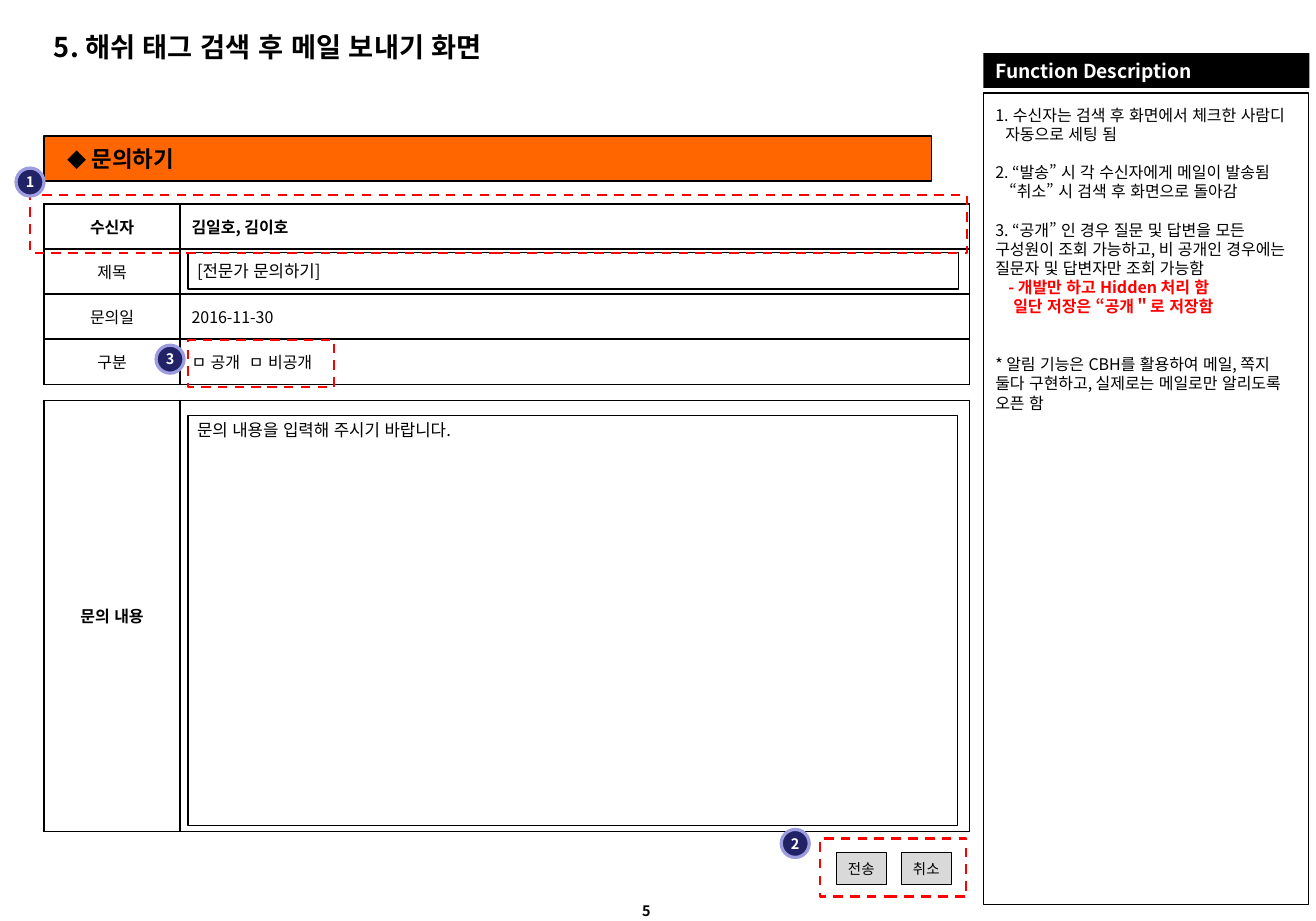
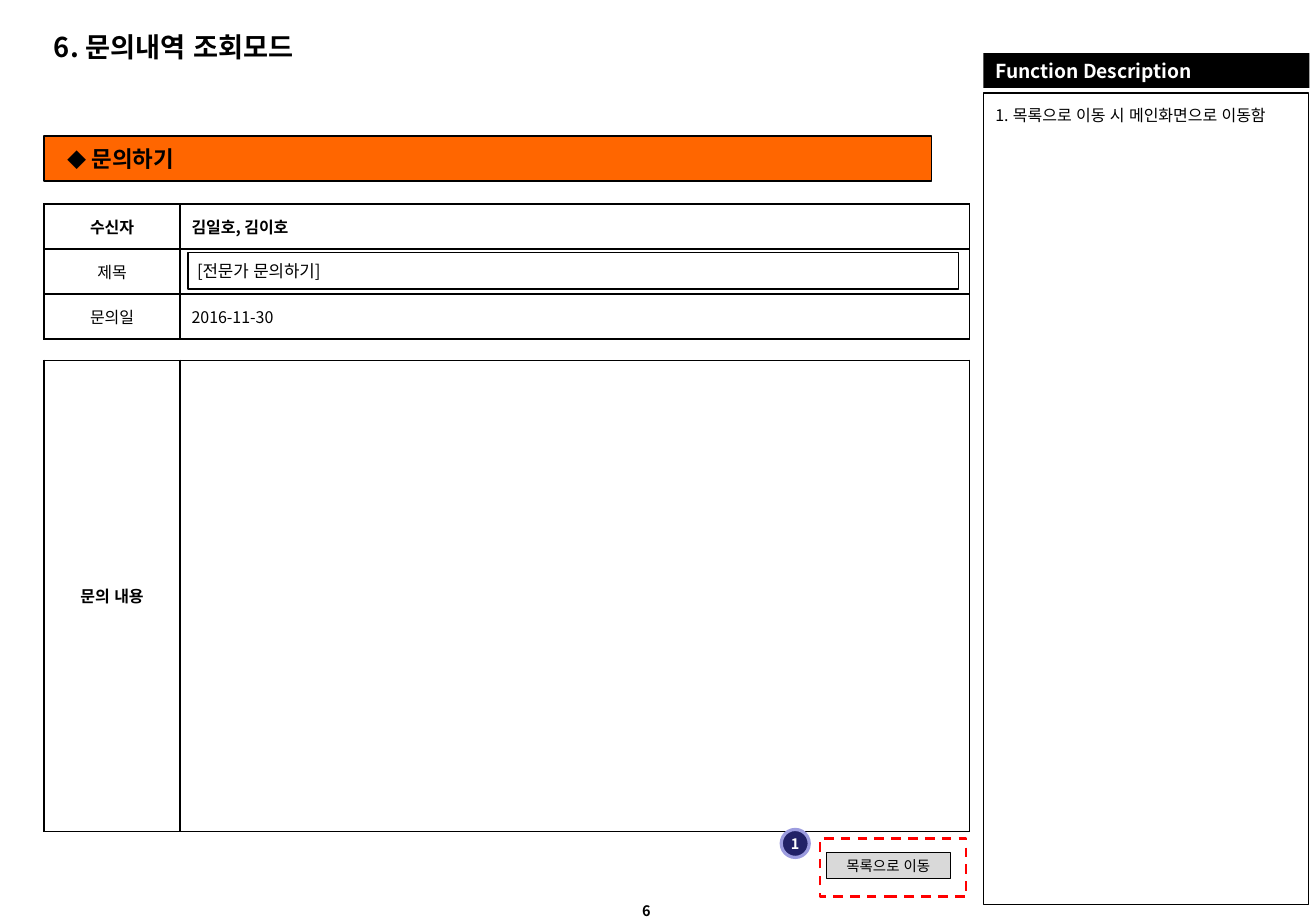
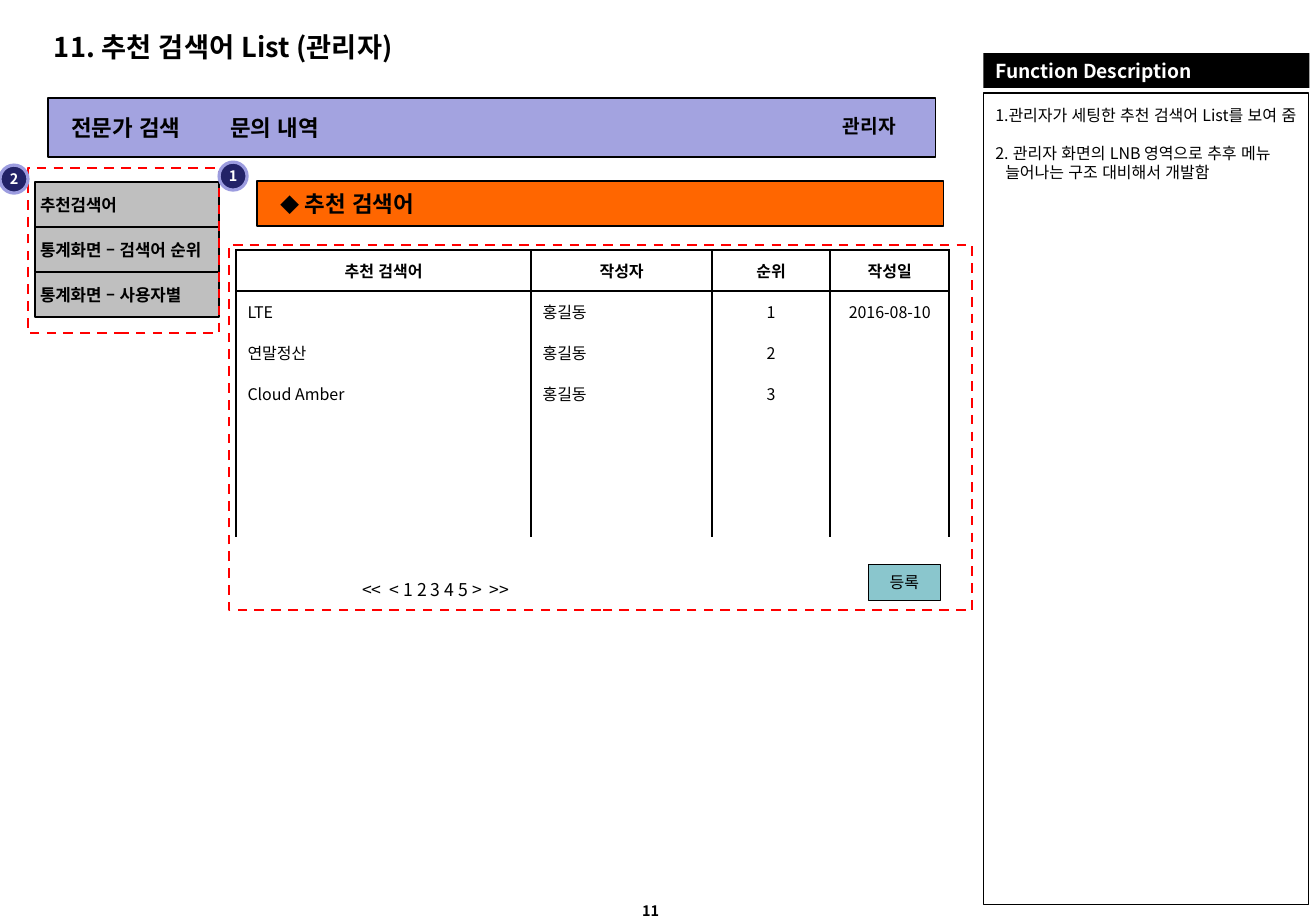
from dataclasses import dataclass, replace

from lxml.etree import SubElement
from pptx import Presentation
from pptx.dml.color import RGBColor
from pptx.enum.dml import MSO_LINE
from pptx.enum.lang import MSO_LANGUAGE_ID as Language
from pptx.enum.shapes import MSO_SHAPE as Shape
from pptx.enum.text import MSO_ANCHOR as Anchor, MSO_AUTO_SIZE as AutoSize, PP_ALIGN as Align
from pptx.oxml.ns import qn
from pptx.slide import Slide
from pptx.text.text import TextFrame, _Paragraph as Paragraph
from pptx.util import Emu, Inches, Pt

EMU_PER_PIXEL = 7937.5
FONT = "Noto Sans CJK KR"
BLACK, WHITE, RED = "000000", "FFFFFF", "FF0000"
ORANGE, LILAC, TEAL = "FF6600", "A3A3E0", "8AC6CD"
NAVY, PERIWINKLE = "222267", "9C9CDF"
LIGHT_GREY, MID_GREY = "D9D9D9", "BFBFBF"
ROW = 45
FORM_LEFT, FORM_COLUMNS = 44, [136, 789]


@dataclass(frozen=True)
class Box:
    left: int
    top: int
    width: int
    height: int

    def emu(self) -> tuple[Emu, ...]:
        return tuple(px(n) for n in (self.left, self.top, self.width, self.height))


@dataclass(frozen=True)
class Style:
    fill: str | None = None
    line: str | None = None
    weight: float = 0.75
    dashed: bool = False
    preset: Shape = Shape.RECTANGLE
    size: float = 10
    bold: bool = False
    color: str = BLACK
    align: Align = Align.LEFT
    anchor: Anchor = Anchor.MIDDLE
    inset: int = 12
    top_inset: int = 0
    wrap: bool = False


@dataclass(frozen=True)
class Note:
    text: str
    number: int = 0
    before: int = 0
    indent: int = 0
    color: str = BLACK
    bold: bool = False


@dataclass(frozen=True)
class Cell:
    text: str = ""
    bold: bool = False
    align: Align = Align.LEFT
    sides: str = "LRTB"


TITLE = Style(size=17, bold=True, inset=10)
PAGE_NUMBER = Style(size=9, bold=True)
PANEL = Style(line=BLACK)
PANEL_HEADER = Style(fill=BLACK, size=12, bold=True, color=WHITE)
PANEL_TEXT = Style(anchor=Anchor.TOP, wrap=True)
BANNER = Style(fill=ORANGE, line=BLACK, inset=23)
NAVIGATION = Style(fill=LILAC, line=BLACK, size=14, bold=True, inset=23)
FIELD = Style(fill=WHITE, line=BLACK, size=10.5, inset=9)
TEXT_AREA = replace(FIELD, anchor=Anchor.TOP, top_inset=5)
BUTTON = Style(fill=LIGHT_GREY, line=BLACK, size=9, align=Align.CENTER, inset=5)
REGISTER = replace(BUTTON, fill=TEAL, size=10)
MENU = Style(fill=MID_GREY, line=BLACK, size=10.5, bold=True, inset=5)
PAGER = Style(size=11)
ROLE = Style(size=12, bold=True, align=Align.CENTER)
FRAME = Style(line=RED, weight=1.5, dashed=True)
BADGE = Style(fill=NAVY, line=PERIWINKLE, weight=2, preset=Shape.OVAL, size=9,
              bold=True, color=WHITE, align=Align.CENTER, inset=0)


def px(n: float) -> Emu:
    return Emu(round(n * EMU_PER_PIXEL))


def rgb(value: str) -> RGBColor:
    return RGBColor.from_string(value)


def write(p: Paragraph, text: str, size: float, bold: bool = False, color: str = BLACK) -> None:
    r = p.add_run()
    r.text = text
    formats = {"name": FONT, "size": Pt(size), "bold": bold, "language_id": Language.KOREAN}
    for name, value in formats.items():
        setattr(r.font, name, value)
    r.font.color.rgb = rgb(color)
    SubElement(r.font._element, qn("a:ea"), typeface=FONT)


def set_frame(tf: TextFrame, style: Style) -> Paragraph:
    formats = {
        "word_wrap": style.wrap,
        "auto_size": AutoSize.NONE,
        "vertical_anchor": style.anchor,
        "margin_left": px(style.inset),
        "margin_right": px(style.inset),
        "margin_top": px(style.top_inset),
        "margin_bottom": 0,
    }
    for name, value in formats.items():
        setattr(tf, name, value)
    p = tf.paragraphs[0]
    p.alignment = style.align
    return p


def place(s: Slide, box: Box, style: Style, text: str = "") -> TextFrame:
    if style.fill or style.line:
        sp = s.shapes.add_shape(style.preset, *box.emu())
        sp.shadow.inherit = False
        if style.fill:
            sp.fill.solid()
            sp.fill.fore_color.rgb = rgb(style.fill)
        else:
            sp.fill.background()
        if style.line:
            sp.line.color.rgb = rgb(style.line)
            sp.line.width = Pt(style.weight)
        else:
            sp.line.fill.background()
        if style.dashed:
            sp.line.dash_style = MSO_LINE.DASH
    else:
        sp = s.shapes.add_textbox(*box.emu())
    p = set_frame(sp.text_frame, style)
    if text:
        write(p, text, style.size, style.bold, style.color)
    return sp.text_frame


def add_banner(s: Slide, box: Box, text: str) -> None:
    p = place(s, box, BANNER).paragraphs[0]
    write(p, "◆ ", 12)
    write(p, text, 14, True)


def add_badge(s: Slide, left: int, top: int, number: int) -> None:
    place(s, Box(left, top, 28, 28), BADGE, str(number))


def add_navigation(s: Slide, box: Box, entries: list[str], tab: int) -> None:
    tf = place(s, box, NAVIGATION, "\t".join(entries))
    tabs = SubElement(tf.paragraphs[0]._p.get_or_add_pPr(), qn("a:tabLst"))
    SubElement(tabs, qn("a:tab"), pos=str(px(tab)), algn="l")


def add_notes(s: Slide, notes: list[Note]) -> None:
    tf = place(s, Box(983, 105, 325, 350), PANEL_TEXT)
    for i, note in enumerate(notes):
        p = tf.add_paragraph() if i else tf.paragraphs[0]
        p.line_spacing = Pt(12)
        p.space_before = Pt(note.before)
        pPr = p._p.get_or_add_pPr()
        pPr.set("marL", str(px(10 if note.number else note.indent)))
        if note.number:
            pPr.set("indent", str(px(-10)))
            SubElement(pPr, qn("a:buFont"), typeface=FONT)
            SubElement(pPr, qn("a:buAutoNum"), type="arabicPeriod", startAt=str(note.number))
        write(p, note.text, 10, note.bold, note.color)


def add_grid(s: Slide, left: int, top: int, columns: list[int], row: int,
             rows: list[list[Cell]]) -> None:
    box = Box(left, top, sum(columns), row * len(rows))
    table = s.shapes.add_table(len(rows), len(columns), *box.emu()).table
    for name in ("first_row", "horz_banding"):
        setattr(table, name, False)
    for column, width in zip(table.columns, columns):
        column.width = px(width)
    for i, cells in enumerate(rows):
        table.rows[i].height = px(row)
        for j, content in enumerate(cells):
            cell = table.cell(i, j)
            tcPr = cell._tc.get_or_add_tcPr()
            for side in "LRTB":
                ln = SubElement(tcPr, qn(f"a:ln{side}"), w=str(Pt(1)))
                if side in content.sides:
                    fill = SubElement(ln, qn("a:solidFill"))
                    SubElement(fill, qn("a:srgbClr"), val=BLACK)
                else:
                    SubElement(ln, qn("a:noFill"))
            cell.fill.background()
            formats = {"vertical_anchor": Anchor.MIDDLE, "margin_top": 0, "margin_bottom": 0}
            for name, value in formats.items():
                setattr(cell, name, value)
            p = cell.text_frame.paragraphs[0]
            p.alignment = content.align
            if content.text:
                write(p, content.text, 10, content.bold)


def add_form(s: Slide, fields: list[tuple[str, str]], content_top: int) -> None:
    add_banner(s, Box(FORM_LEFT, 136, 887, 45), "문의하기")
    rows = [[Cell(label, i == 0, Align.CENTER), Cell(value, i == 0)]
            for i, (label, value) in enumerate(fields)]
    add_grid(s, FORM_LEFT, 204, FORM_COLUMNS, ROW, rows)
    place(s, Box(188, 252, 770, 37), FIELD, "[전문가 문의하기]")
    add_grid(s, FORM_LEFT, content_top, FORM_COLUMNS, 831 - content_top,
             [[Cell("문의 내용", True, Align.CENTER), Cell()]])


def add_page(title: str, number: int, notes: list[Note]) -> Slide:
    s = prs.slides.add_slide(prs.slide_layouts[5])
    sp = s.shapes.title
    for name, value in zip(("left", "top", "width", "height"), Box(44, 24, 1178, 45).emu()):
        setattr(sp, name, value)
    write(set_frame(sp.text_frame, TITLE), f"{number}. {title}", TITLE.size, TITLE.bold)
    place(s, Box(630, 896, 97, 29), PAGE_NUMBER, str(number))
    place(s, Box(983, 93, 325, 811), PANEL)
    place(s, Box(983, 53, 326, 35), PANEL_HEADER, "Function Description")
    add_notes(s, notes)
    return s


prs = Presentation()
prs.slide_width, prs.slide_height = Inches(11.42), Inches(7.99)

FIELDS = [("수신자", "김일호, 김이호"), ("제목", ""), ("문의일", "2016-11-30")]
ACTION_FRAME = Box(820, 838, 146, 58)

s = add_page("해쉬 태그 검색 후 메일 보내기 화면", 5, [
    Note(" 수신자는 검색 후 화면에서 체크한 사람디 자동으로 세팅 됨", number=1),
    Note("2. “발송” 시 각 수신자에게 메일이 발송됨", before=12),
    Note("“취소” 시 검색 후 화면으로 돌아감", indent=14),
    Note("3. “공개” 인 경우 질문 및 답변을 모든 구성원이 조회 가능하고, "
         "비 공개인 경우에는 질문자 및 답변자만 조회 가능함", before=12),
    Note("- 개발만 하고 Hidden 처리 함", indent=13, color=RED, bold=True),
    Note("일단 저장은 “공개＂로 저장함", indent=18, color=RED, bold=True),
    Note("* 알림 기능은 CBH를 활용하여 메일, 쪽지 둘다 구현하고, "
         "실제로는 메일로만 알리도록 오픈 함", before=24),
])
add_form(s, FIELDS + [("구분", "ㅁ 공개  ㅁ 비공개")], 400)
place(s, Box(188, 415, 769, 410), TEXT_AREA, "문의 내용을 입력해 주시기 바랍니다.")
for i, label in enumerate(["전송", "취소"]):
    place(s, Box(836 + 65 * i, 852, 50, 32), BUTTON, label)
for frame in (Box(30, 195, 937, 58), ACTION_FRAME, Box(188, 340, 146, 47)):
    place(s, frame, FRAME)
for number, (left, top) in enumerate([(16, 168), (781, 829), (156, 345)], 1):
    add_badge(s, left, top, number)

s = add_page("문의내역 조회모드", 6, [
    Note(" 목록으로 이동 시 메인화면으로 이동함", number=1),
])
add_form(s, FIELDS, 360)
place(s, Box(826, 852, 124, 26), BUTTON, "목록으로 이동")
place(s, ACTION_FRAME, FRAME)
add_badge(s, 781, 829, 1)

s = add_page("추천 검색어 List (관리자)", 11, [
    Note("관리자가 세팅한 추천 검색어 List를 보여 줌", number=1),
    Note(" 관리자 화면의 LNB 영역으로 추후 메뉴 늘어나는 구조 대비해서 개발함",
         number=2, before=12),
])
add_banner(s, Box(257, 181, 686, 45), "추천 검색어")
KEYWORDS = [
    ("LTE", "홍길동", "1", "2016-08-10"),
    ("연말정산", "홍길동", "2", ""),
    ("Cloud Amber", "홍길동", "3", ""),
] + [("",) * 4] * 3
ALIGNMENTS = (Align.LEFT, Align.LEFT, Align.CENTER, Align.CENTER)
header = [Cell(text, True, Align.CENTER) for text in ("추천 검색어", "작성자", "순위", "작성일")]
body = [[Cell(text, align=align, sides="LR" if i else "LRT")
         for text, align in zip(entry, ALIGNMENTS)] for i, entry in enumerate(KEYWORDS)]
add_grid(s, 236, 250, [295, 181, 118, 119], 41, [header] + body)
place(s, Box(350, 573, 218, 33), PAGER, "<<  < 1 2 3 4 5 >  >>")
place(s, Box(868, 564, 72, 36), REGISTER, "등록")
add_navigation(s, Box(48, 98, 887, 59), ["전문가 검색", "문의 내역"], 159)
place(s, Box(817, 108, 104, 35), ROLE, "관리자")
for i, label in enumerate(["추천검색어", "통계화면 – 검색어 순위", "통계화면 – 사용자별"]):
    place(s, Box(35, 182 + ROW * i, 184, ROW), MENU, label)
for frame in (Box(229, 245, 743, 365), Box(28, 168, 191, 165)):
    place(s, frame, FRAME)
for number, (left, top) in enumerate([(219, 162), (0, 165)], 1):
    add_badge(s, left, top, number)

prs.save("out.pptx")
